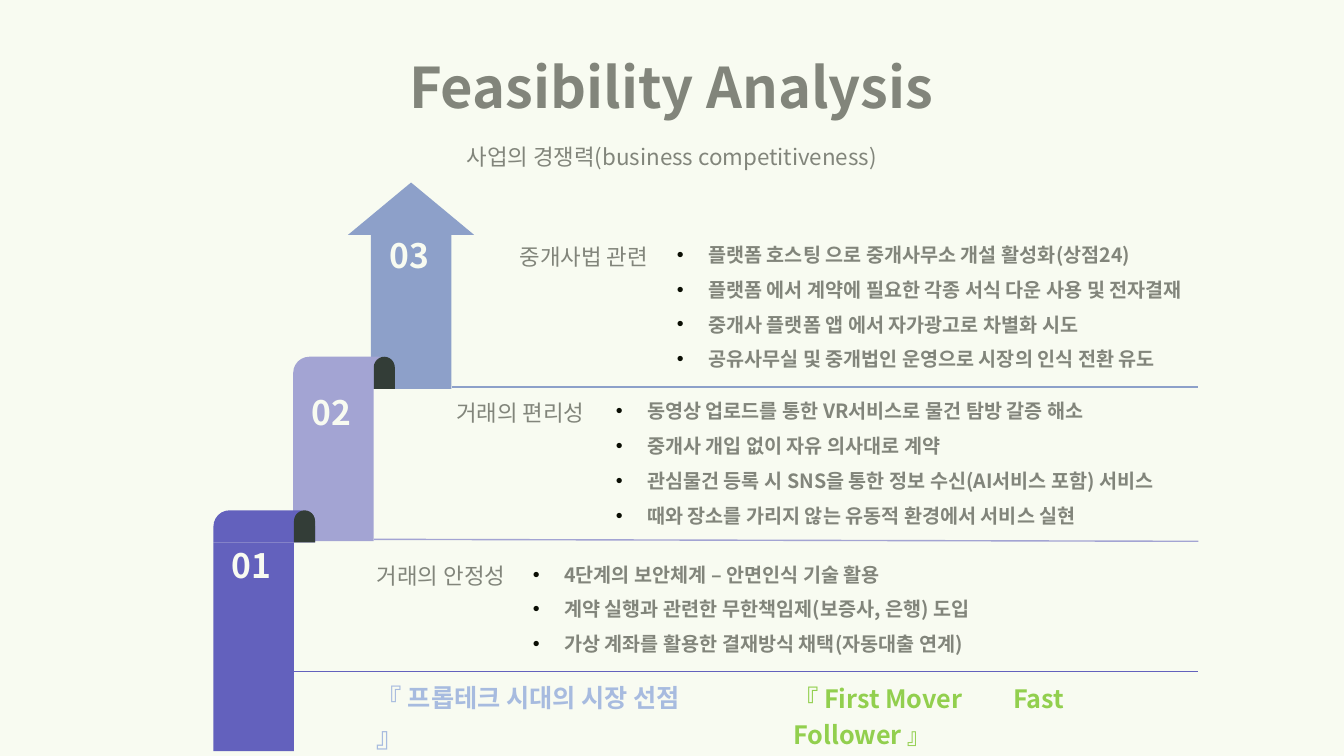
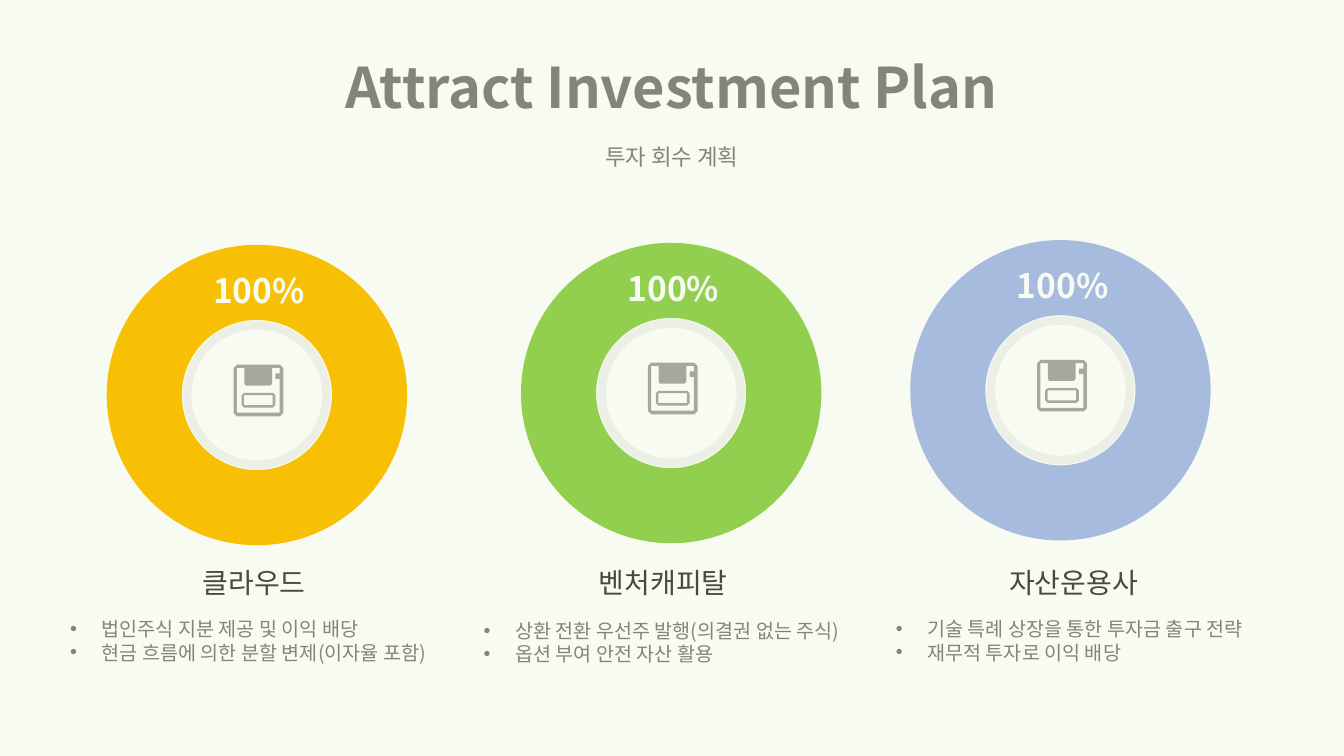
from dataclasses import dataclass
from typing import NamedTuple

from pptx import Presentation
from pptx.dml.color import RGBColor
from pptx.enum.shapes import MSO_CONNECTOR, MSO_SHAPE
from pptx.enum.text import MSO_ANCHOR, PP_ALIGN
from pptx.oxml.ns import qn
from pptx.util import Cm, Pt
from lxml.etree import SubElement


@dataclass(frozen=True)
class Theme:
    font: str = "Noto Sans CJK KR"
    white: str = "FFFFFF"
    black: str = "000000"
    grey: str = "808080"
    dark: str = "404040"
    rim: str = "F2F2F2"
    icon: str = "A6A6A6"
    fold: str = "2B3237"
    violet: str = "5F59C7"
    lilac: str = "A4A1DF"
    steel: str = "8C9DD4"
    sky: str = "A8BAEC"
    green: str = "92D050"
    gold: str = "FFC000"
    tint: str = "9FCE3E"
    title: float = 40
    number: float = 24
    name: float = 20
    tag: float = 18
    head: float = 16
    point: float = 14


T = Theme()
WIDE, HIGH = 33.87, 19.05
INDENT = 0.79


class Run(NamedTuple):
    text: str
    size: float
    color: str = T.grey
    bold: bool = False


class Box(NamedTuple):
    x: float
    y: float
    w: float
    h: float


class Step(NamedTuple):
    number: str
    color: str
    x: float
    y: float
    h: float
    head: str
    head_x: float
    text_y: float
    points: list[str]
    points_x: float
    rule: tuple[float, float]
    weight: float


class Plan(NamedTuple):
    name: str
    color: str
    x: float
    y: float
    name_x: float
    points: list[str]
    points_x: float
    points_y: float


STEPS = [
    Step("03", T.steel, 9.35, 5.85, 3.95, "중개사법 관련", 12.85, 5.99,
         ["플랫폼 호스팅 으로 중개사무소 개설 활성화(상점24)",
          "플랫폼 에서 계약에 필요한 각종 서식 다운 사용 및 전자결재",
          "중개사 플랫폼 앱 에서 자가광고로 차별화 시도",
          "공유사무실 및 중개법인 운영으로 시장의 인식 전환 유도"],
         16.81, (9.75, 9.75), 1.5),
    Step("02", T.lilac, 7.39, 9.8, 3.84, "거래의 편리성", 11.25, 9.93,
         ["동영상 업로드를 통한 VR서비스로 물건 탐방 갈증 해소",
          "중개사 개입 없이 자유 의사대로 계약",
          "관심물건 등록 시 SNS을 통한 정보 수신(AI서비스 포함) 서비스",
          "때와 장소를 가리지 않는 유동적 환경에서 서비스 실현"],
         15.27, (13.59, 13.64), 1),
    Step("01", T.violet, 5.38, 13.67, 5.26, "거래의 안정성", 9.25, 14.05,
         ["4단계의 보안체계 – 안면인식 기술 활용",
          "계약 실행과 관련한 무한책임제(보증사, 은행) 도입",
          "가상 계좌를 활용한 결재방식 채택(자동대출 연계)"],
         13.18, (16.92, 16.92), 1),
]

PLANS = [
    Plan("클라우드", T.gold, 2.69, 6.17, 2.11,
         ["법인주식 지분 제공 및 이익 배당",
          "현금 흐름에 의한 분할 변제(이자율 포함)"], 1.52, 15.42),
    Plan("벤처캐피탈", T.green, 13.13, 6.12, 12.42,
         ["상환 전환 우선주 발행(의결권 없는 주식)",
          "옵션 부여 안전 자산 활용"], 11.94, 15.47),
    Plan("자산운용사", T.sky, 22.94, 6.05, 22.76,
         ["기술 특례 상장을 통한 투자금 출구 전략",
          "재무적 투자로 이익 배당"], 22.33, 15.42),
]


def place(box: Box) -> list[Cm]:
    return [Cm(side) for side in box]


def draw(slide, kind: MSO_SHAPE, box: Box, color: str):
    shape = slide.shapes.add_shape(kind, *place(box))
    shape.shadow.inherit = False
    shape.fill.solid()
    shape.fill.fore_color.rgb = RGBColor.from_string(color)
    shape.line.fill.background()
    return shape


def write(para, run: Run) -> None:
    part = para.add_run()
    part.text = run.text
    font = part.font
    font.name, font.size, font.bold = T.font, Pt(run.size), run.bold
    font.color.rgb = RGBColor.from_string(run.color)
    SubElement(part._r.get_or_add_rPr(), qn("a:ea"), typeface=T.font)


def add_text(slide, box: Box, runs: list[Run], center: bool = False):
    frame = slide.shapes.add_textbox(*place(box)).text_frame
    frame.word_wrap = True
    para = frame.paragraphs[0]
    para.alignment = PP_ALIGN.CENTER if center else PP_ALIGN.LEFT
    for run in runs:
        write(para, run)
    return frame


def add_list(slide, box: Box, points: list[str], color: str,
             bold: bool = False, gap: float = 0) -> None:
    frame = add_text(slide, box, [])
    for i, point in enumerate(points):
        para = frame.add_paragraph() if i else frame.paragraphs[0]
        props = para._p.get_or_add_pPr()
        props.set("marL", str(Cm(INDENT)))
        props.set("indent", str(-Cm(INDENT)))
        tone = SubElement(props, qn("a:buClr"))
        SubElement(tone, qn("a:srgbClr"), val=color)
        SubElement(props, qn("a:buFont"), typeface="Arial")
        SubElement(props, qn("a:buChar"), char="•")
        if i and gap:
            para.space_before = Pt(gap)
        write(para, Run(point, T.point, bold=bold))


def add_tag(slide, box: Box, runs: list[Run], stop: float = 0) -> None:
    """Add a slogan; stop is the place of its tab in cm."""
    para = add_text(slide, box, runs).paragraphs[0]
    if stop:
        tabs = SubElement(para._p.get_or_add_pPr(), qn("a:tabLst"))
        SubElement(tabs, qn("a:tab"), pos=str(Cm(stop)), algn="l")
    para.line_spacing = 1.2


def add_rule(slide, x: float, step: Step) -> None:
    start, end = step.rule
    rule = slide.shapes.add_connector(
        MSO_CONNECTOR.STRAIGHT, Cm(x), Cm(start), Cm(30.2), Cm(end))
    rule.line.color.rgb = RGBColor.from_string(step.color)
    rule.line.width = Pt(step.weight)
    SubElement(rule._element.spPr, qn("a:effectLst"))


def add_fold(slide, step: Step, width: float) -> None:
    """Round the top of a column and show where the ribbon turns back."""
    high, lip = 0.81, 0.53
    for x, w, color in ((step.x, width + lip, step.color),
                        (step.x + width, lip, T.fold)):
        cap = draw(slide, MSO_SHAPE.ROUND_2_SAME_RECTANGLE,
                   Box(x, step.y - high, w, high), color)
        cap.adjustments[0] = 0.5


def add_step(slide, step: Step, top: bool) -> None:
    width = 2.03
    draw(slide, MSO_SHAPE.RECTANGLE,
         Box(step.x, step.y, width, step.h), step.color)
    if top:
        draw(slide, MSO_SHAPE.ISOSCELES_TRIANGLE,
             Box(step.x - 0.58, 4.6, 3.18, 1.32), step.color)
    else:
        add_fold(slide, step, width)
    add_text(slide, Box(step.x - 0.03, step.y - 0.06, 1.99, 1.27),
             [Run(step.number, T.number, T.white, True)], True)
    add_text(slide, Box(step.head_x, step.text_y, 4, 0.94),
             [Run(step.head, T.head)])
    add_list(slide, Box(step.points_x, step.text_y, 15.4, 3.5),
             step.points, T.black, True, 8.1)
    add_rule(slide, step.x + width, step)


def bevel(x: int, y: int, right: int, low: int, cut: int) -> list[tuple]:
    """Give the corners of a rectangle with its corners cut off."""
    return [(x + cut, y), (right - cut, y), (right, y + cut),
            (right, low - cut), (right - cut, low), (x + cut, low),
            (x, low - cut), (x, y + cut)]


def add_disk(slide, x: float, y: float) -> None:
    hole = [(116, 36), (116, 121), (8, 121), (8, 8), (27, 8), (27, 48),
            (30, 53), (92, 53), (97, 48), (97, 8), (116, 8), (116, 22),
            (105, 22), (105, 36)]
    slot = [(26, 77), (98, 77), (98, 102), (26, 102)]
    body = bevel(0, 0, 125, 130, 8)
    pen = slide.shapes.build_freeform(*body[0], scale=Cm(0.01))
    pen.add_line_segments(body[1:])
    for ring in (hole, bevel(20, 71, 105, 108, 6), slot):
        pen.move_to(*ring[0])
        pen.add_line_segments(ring[1:])
    disk = pen.convert_to_shape(Cm(x), Cm(y))
    disk.shadow.inherit = False
    disk.fill.solid()
    disk.fill.fore_color.rgb = RGBColor.from_string(T.icon)
    disk.line.fill.background()


def add_plan(slide, plan: Plan) -> None:
    x, y = plan.x, plan.y
    draw(slide, MSO_SHAPE.DONUT, Box(x, y, 7.57, 7.57), plan.color)
    hub = draw(slide, MSO_SHAPE.OVAL,
               Box(x + 2.03, y + 2.03, 3.51, 3.51), T.white)
    hub.line.color.rgb = RGBColor.from_string(T.rim)
    hub.line.width = Pt(6)
    add_text(slide, Box(x + 1.63, y + 0.51, 4.42, 1.27),
             [Run("100%", T.number, T.white, True)], True)
    add_disk(slide, x + 3.2, y + 3.02)
    add_text(slide, Box(plan.name_x, 14.12, 8.59, 1.12),
             [Run(plan.name, T.name, T.dark)], True)
    add_list(slide, Box(plan.points_x, plan.points_y, 10.2, 1.45),
             plan.points, T.grey)


def start(deck, title: str, note: str):
    """Add a blank slide with its title and subtitle."""
    slide = deck.slides.add_slide(deck.slide_layouts[6])
    frame = add_text(slide, Box(2.24, 0.91, 29.36, 2.54),
                     [Run(title, T.title, T.grey, True)], True)
    frame.vertical_anchor = MSO_ANCHOR.MIDDLE
    add_text(slide, Box(2.24, 3.48, 29.38, 1.04), [Run(note, T.head)], True)
    return slide


def add_veil(slide) -> None:
    """Lay a faint tint over the whole slide."""
    veil = draw(slide, MSO_SHAPE.RECTANGLE, Box(0, 0, WIDE, HIGH), T.tint)
    tone = veil._element.spPr.find(qn("a:solidFill"))[0]
    SubElement(tone, qn("a:alpha"), val="7000")


def main() -> None:
    deck = Presentation()
    deck.slide_width, deck.slide_height = Cm(WIDE), Cm(HIGH)

    slide = start(deck, "Feasibility Analysis",
                  "사업의 경쟁력(business competitiveness)")
    for i, step in enumerate(STEPS):
        add_step(slide, step, i == 0)
    add_tag(slide, Box(9.25, 16.92, 8.23, 1.27),
            [Run("『 프롭테크 시대의 시장 선점 ", T.tag, T.sky, True),
             Run("』", T.name, T.sky, True)])
    add_tag(slide, Box(19.74, 16.94, 9.8, 1.17),
            [Run("『 First Mover\tFast Follower ", T.tag, T.green, True),
             Run("』", T.head, T.green, True)], 5.54)
    add_veil(slide)

    slide = start(deck, "Attract Investment Plan", "투자 회수 계획")
    for plan in PLANS:
        add_plan(slide, plan)
    add_veil(slide)

    deck.save("out.pptx")


if __name__ == "__main__":
    main()
